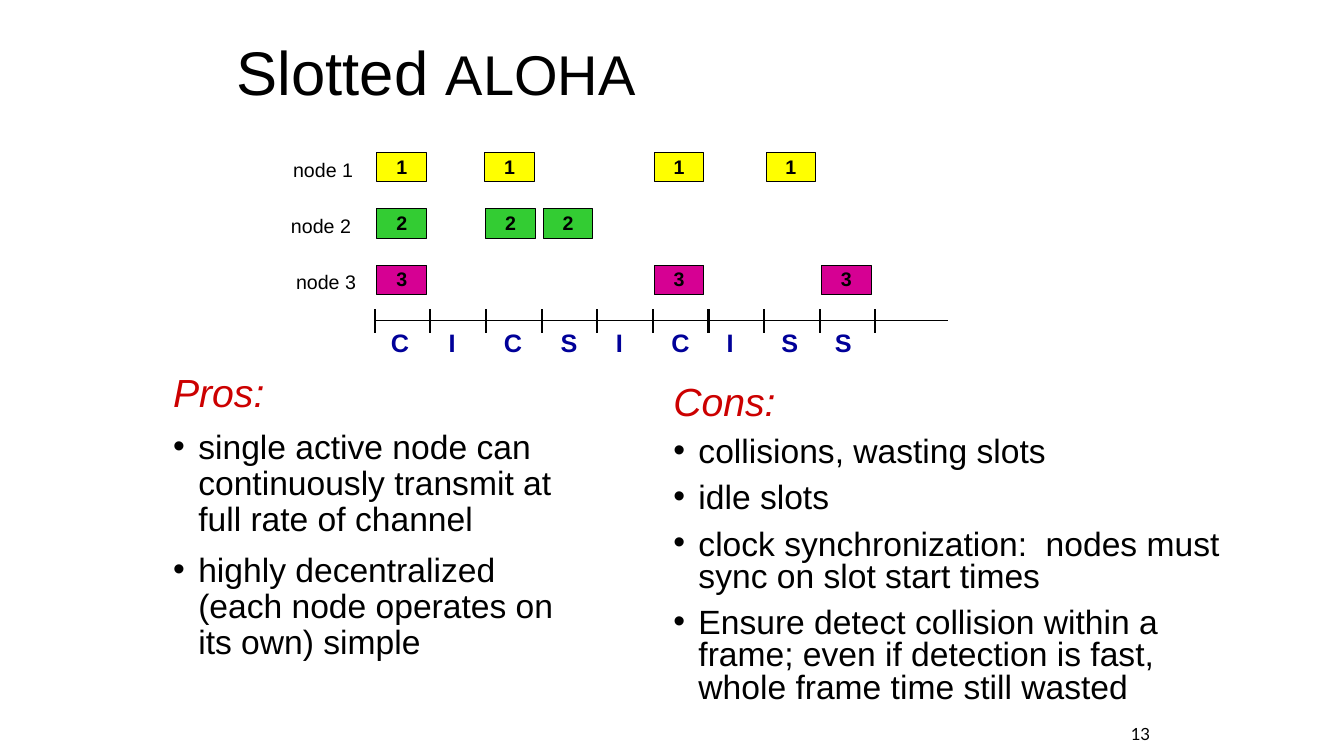
from typing import NamedTuple

import pptx
import pptx.dml.color
import pptx.enum.shapes
import pptx.enum.text
import pptx.oxml
import pptx.oxml.ns
import pptx.util

Pt = pptx.util.Pt
ALIGN = pptx.enum.text.PP_ALIGN
ANCHOR = pptx.enum.text.MSO_ANCHOR
BLACK, RED, NAVY = "000000", "CC0000", "000099"


class Row(NamedTuple):
    name: str
    mid: float  # centre of the label
    fill: str
    lefts: list[float]  # left edges of the frames


class Mark(NamedTuple):
    text: str
    mid: float


class Panel(NamedTuple):
    head: str
    left: float
    top: float
    width: float
    space: float
    items: list[str]


ROWS = [
    Row("1", 230.8, "FFFF00", [269.3, 346.3, 467.3, 547.2]),
    Row("2", 229.3, "33CC33", [269.3, 347, 388.1]),
    Row("3", 232.9, "D60093", [269.3, 467.3, 586.8]),
]
MARKS = [
    Mark("C", 285.8), Mark("I", 322.9), Mark("C", 366.5),
    Mark("S", 406.4), Mark("I", 442.4), Mark("C", 486),
    Mark("I", 521.6), Mark("S", 564.1), Mark("S", 602.3),
]
PANELS = [
    Panel("Pros:", 116.6, 263.5, 309.6, 0.9, [
        "single active node can continuously transmit at full rate of channel",
        "highly decentralized (each node operates on its own) simple",
    ]),
    Panel("Cons:", 473.8, 272.2, 416.2, 0.8, [
        "collisions, wasting slots",
        "idle slots",
        "clock synchronization:  nodes must sync on slot start times",
        "Ensure detect collision within a frame; even if detection is fast, "
        "whole frame time still wasted",
    ]),
]


def color(code: str):
    return pptx.dml.color.RGBColor.from_string(code)


def style(font, size: float, code: str = BLACK, face: str = "Arial",
          bold: bool = False, slant: bool = False) -> None:
    font.name, font.size = face, Pt(size)
    font.bold, font.italic = bold, slant
    font.color.rgb = color(code)


def add(parent, tag: str, **attrs: str) -> None:
    parent.append(parent.makeelement(pptx.oxml.ns.qn(tag), attrs))


def box(slide, left: float, top: float, width: float, height: float,
        wrap: bool = True, anchor=ANCHOR.TOP):
    frame = slide.shapes.add_textbox(
        Pt(left), Pt(top), Pt(width), Pt(height)).text_frame
    frame.word_wrap = wrap
    frame.vertical_anchor = anchor
    return frame


def label(slide, text: str, mid: float, top: float, width: float,
          height: float, size: float, code: str, bold: bool) -> None:
    frame = box(slide, mid - width / 2, top, width, height, False)
    frame.auto_size = pptx.enum.text.MSO_AUTO_SIZE.SHAPE_TO_FIT_TEXT
    para = frame.paragraphs[0]
    para.text, para.alignment = text, ALIGN.CENTER
    style(para.font, size, code, bold=bold)


def line(slide, x1: float, y1: float, x2: float, y2: float,
         width: float) -> None:
    rule = slide.shapes.add_connector(
        pptx.enum.shapes.MSO_CONNECTOR.STRAIGHT,
        Pt(x1), Pt(y1), Pt(x2), Pt(y2))
    rule.line.color.rgb, rule.line.width = color(BLACK), Pt(width)
    add(rule._element.spPr, "a:effectLst")


def packet(slide, row: Row, left: float, top: float) -> None:
    shape = slide.shapes.add_shape(
        pptx.enum.shapes.MSO_SHAPE.RECTANGLE,
        Pt(left), Pt(top), Pt(35.5), Pt(21))
    shape.shadow.inherit = False
    shape.fill.solid()
    shape.fill.fore_color.rgb = color(row.fill)
    shape.line.color.rgb, shape.line.width = color(BLACK), Pt(0.75)
    frame = shape.text_frame
    frame.margin_top, frame.margin_bottom = 0, Pt(1.5)
    frame.vertical_anchor = ANCHOR.MIDDLE
    para = frame.paragraphs[0]
    para.text, para.alignment = row.name, ALIGN.CENTER
    style(para.font, 14, bold=True)


def panel(slide, part: Panel) -> None:
    frame = box(slide, part.left, part.top, part.width, 252)
    for i, text in enumerate([part.head, *part.items]):
        para = frame.paragraphs[0] if i == 0 else frame.add_paragraph()
        para.text, para.line_spacing = text, part.space
        if i == 0:
            style(para.font, 28, RED, slant=True)
            continue
        para.space_before = Pt(10)
        props = para._p.get_or_add_pPr()
        props.set("marL", str(Pt(18)))
        props.set("indent", str(Pt(-18)))
        add(props, "a:buFont", typeface="Arial")
        add(props, "a:buChar", char="•")
        style(para.font, 24)


def main() -> None:
    deck = pptx.Presentation()
    deck.slide_width, deck.slide_height = Pt(960), Pt(540)
    slide = deck.slides.add_slide(deck.slide_layouts[6])

    # Title
    title = box(slide, 162, 8.6, 390.2, 90, anchor=ANCHOR.MIDDLE).paragraphs[0]
    title.line_spacing = 0.9
    for text, size in (("Slotted ", 44), ("ALOHA", 40)):
        run = title.add_run()
        run.text = text
        style(run.font, size)

    # Nodes and their frames
    for i, row in enumerate(ROWS):
        top = 109 + 40.2 * i
        label(slide, f"node {row.name}", row.mid, top, 62, 24, 14, BLACK, False)
        for left in row.lefts:
            packet(slide, row, left, top)

    # Time axis with slot ticks and outcomes
    line(slide, 267.1, 229, 677.5, 229, 0.75)
    for i in range(10):
        x = 267.6 + 39.75 * i
        line(slide, x, 221, x, 238, 1.5)
    for mark in MARKS:
        label(slide, mark.text, mark.mid, 230, 30, 29, 18, NAVY, True)

    # Pros and cons
    for part in PANELS:
        panel(slide, part)

    # Page number
    page = box(slide, 785.5, 513.4, 43.2, 21.6, anchor=ANCHOR.MIDDLE).paragraphs[0]
    page.text, page.alignment = "13", ALIGN.RIGHT
    style(page.font, 12, face="Lato")

    deck.save("out.pptx")


if __name__ == "__main__":
    main()
